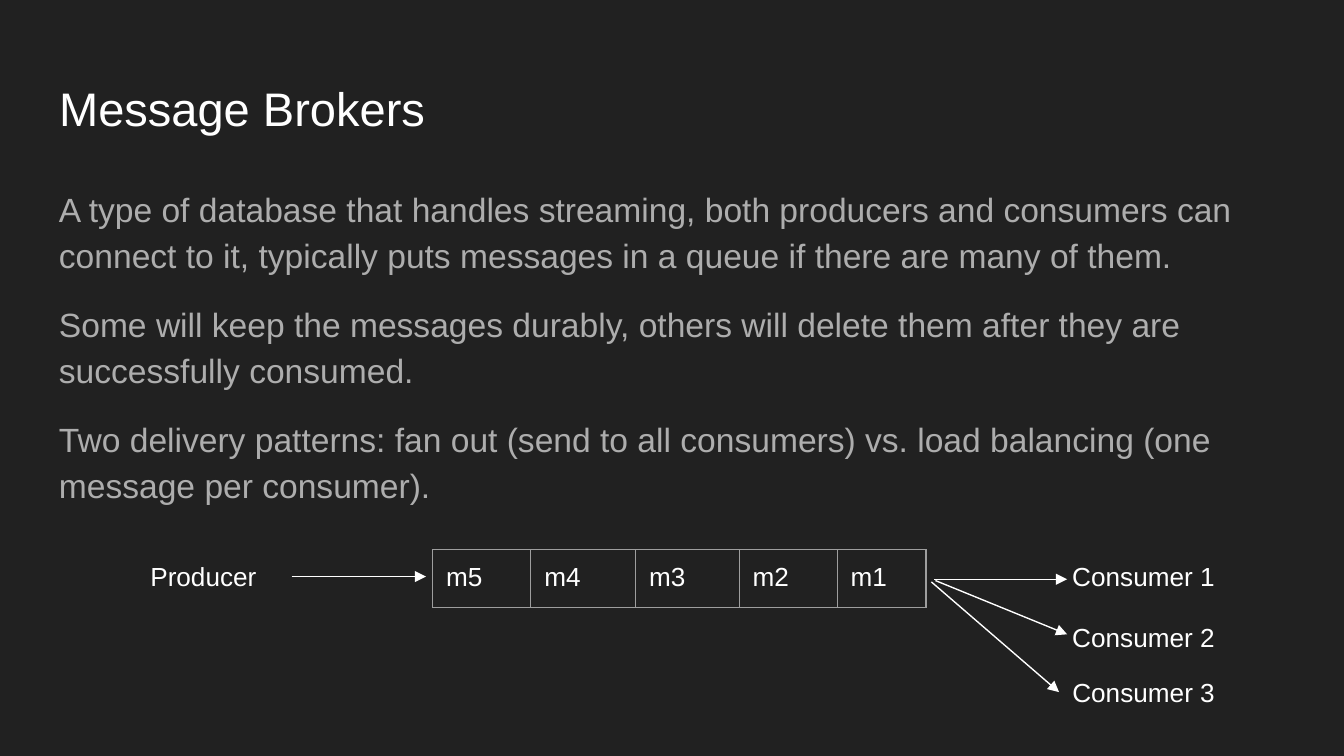
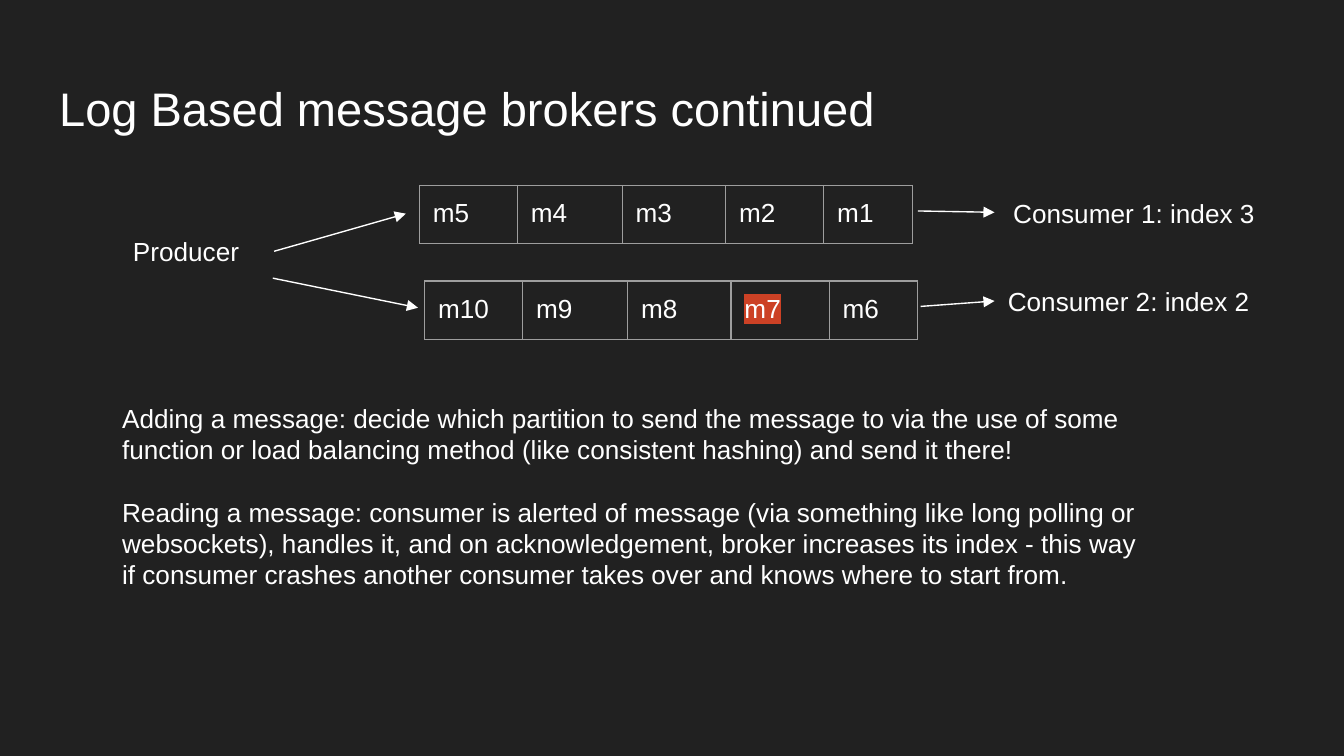
from dataclasses import dataclass

import lxml.etree
import pptx
import pptx.dml.color
import pptx.enum.shapes
import pptx.enum.text
import pptx.oxml.ns
import pptx.presentation
import pptx.shapes.autoshape
import pptx.slide
import pptx.table
import pptx.text.text
import pptx.util

EMU_PER_PX = 9144  # 100 px to the inch
SLIDE_WIDTH = 1000
TITLE_ONLY_LAYOUT = 5
LEFT_SIDE, RIGHT_SIDE = 1, 3
INSET = 10
COLUMN_WIDTHS = (73, 78, 77, 73, 66)
ROW_HEIGHT = 43
LABEL_HEIGHT = 44
FIXED = pptx.enum.text.MSO_AUTO_SIZE.NONE
GROWING = pptx.enum.text.MSO_AUTO_SIZE.SHAPE_TO_FIT_TEXT


@dataclass(frozen=True)
class Theme:
    font: str = "Arial"
    background: str = "212121"
    text: str = "FFFFFF"
    muted: str = "ADADAD"
    border: str = "9E9E9E"
    highlight: str = "CC4125"
    title_size: float = 25.2
    body_size: float = 18
    label_size: float = 14
    line_width: float = 0.75


@dataclass(frozen=True)
class Area:
    left: int
    top: int
    width: int
    height: int


@dataclass(frozen=True)
class Label:
    text: str
    left: int
    top: int
    width: int


@dataclass(frozen=True)
class Queue:
    left: int
    top: int
    messages: tuple[str, ...]
    highlighted: str = ""


@dataclass(frozen=True)
class Arrow:
    """An arrow whose ends join the labels named by source and target, if any."""
    start: tuple[int, int]
    end: tuple[int, int]
    source: str = ""
    target: str = ""


@dataclass(frozen=True)
class Prose:
    area: Area
    paragraphs: tuple[str, ...]
    size: float
    color: str
    gap: float = 0
    line_spacing: float = 1.0
    auto_size: pptx.enum.text.MSO_AUTO_SIZE = GROWING


@dataclass(frozen=True)
class Page:
    title: str
    prose: Prose
    queues: tuple[Queue, ...]
    labels: tuple[Label, ...]
    arrows: tuple[Arrow, ...]


THEME = Theme()
TITLE_AREA = Area(34, 49, 932, 63)

PAGES = (
    Page(
        title="Message Brokers",
        prose=Prose(
            Area(34, 126, 932, 374),
            (
                "A type of database that handles streaming, both producers and consumers can "
                "connect to it, typically puts messages in a queue if there are many of them.",
                "Some will keep the messages durably, others will delete them after they are "
                "successfully consumed.",
                "Two delivery patterns: fan out (send to all consumers) vs. load balancing (one "
                "message per consumer).",
            ),
            THEME.body_size, THEME.muted, gap=12, line_spacing=1.15, auto_size=FIXED,
        ),
        queues=(Queue(322, 409, ("m5", "m4", "m3", "m2", "m1")),),
        labels=(
            Label("Producer", 102, 407, 115),
            Label("Consumer 1", 788, 407, 127),
            Label("Consumer 2", 788, 452, 127),
            Label("Consumer 3", 788, 493, 131),
        ),
        arrows=(
            Arrow((218, 429), (317, 429), source="Producer"),
            Arrow((695, 431), (794, 431)),
            Arrow((696, 432), (794, 472)),
            Arrow((693, 433), (788, 515), target="Consumer 3"),
        ),
    ),
    Page(
        title="Log Based message brokers continued",
        prose=Prose(
            Area(81, 289, 779, 162),
            (
                "Adding a message: decide which partition to send the message to via the use of "
                "some function or load balancing method (like consistent hashing) and send it "
                "there!",
                "Reading a message: consumer is alerted of message (via something like long "
                "polling or websockets), handles it, and on acknowledgement, broker increases "
                "its index - this way if consumer crashes another consumer takes over and knows "
                "where to start from.",
            ),
            THEME.label_size, THEME.text, gap=16.8,
        ),
        queues=(
            Queue(312, 138, ("m5", "m4", "m3", "m2", "m1")),
            Queue(316, 209, ("m10", "m9", "m8", "m7", "m6"), highlighted="m7"),
        ),
        labels=(
            Label("Producer", 89, 165, 115),
            Label("Consumer 1: index 3", 744, 137, 216),
            Label("Consumer 2: index 2", 740, 202, 219),
        ),
        arrows=(
            Arrow((204, 187), (302, 159), source="Producer"),
            Arrow((203, 207), (311, 229)),
            Arrow((683, 157), (740, 158)),
            Arrow((685, 228), (740, 224), target="Consumer 2: index 2"),
        ),
    ),
)


def px(length: int) -> pptx.util.Emu:
    return pptx.util.Emu(length * EMU_PER_PX)


def rgb(color: str) -> pptx.dml.color.RGBColor:
    return pptx.dml.color.RGBColor.from_string(color)


def add_element(parent: lxml.etree.ElementBase, tag: str, **attributes: str) -> lxml.etree.ElementBase:
    return lxml.etree.SubElement(parent, pptx.oxml.ns.qn(tag), attributes)


def format_paragraph(para: pptx.text.text._Paragraph, size: float, color: str) -> None:
    para.alignment = pptx.enum.text.PP_ALIGN.LEFT
    para.font.name = THEME.font
    para.font.size = pptx.util.Pt(size)
    para.font.color.rgb = rgb(color)


def format_frame(frame: pptx.text.text.TextFrame, auto_size: pptx.enum.text.MSO_AUTO_SIZE) -> None:
    frame.word_wrap = True
    frame.auto_size = auto_size
    frame.vertical_anchor = pptx.enum.text.MSO_ANCHOR.TOP
    frame.margin_left = frame.margin_right = px(INSET)
    frame.margin_top = frame.margin_bottom = px(INSET)


def draw_title(slide: pptx.slide.Slide, text: str) -> None:
    title = slide.shapes.title
    title.left, title.top = px(TITLE_AREA.left), px(TITLE_AREA.top)
    title.width, title.height = px(TITLE_AREA.width), px(TITLE_AREA.height)
    title.text_frame.text = text
    format_frame(title.text_frame, FIXED)
    format_paragraph(title.text_frame.paragraphs[0], THEME.title_size, THEME.text)


def draw_prose(slide: pptx.slide.Slide, prose: Prose) -> pptx.shapes.autoshape.Shape:
    area = prose.area
    box = slide.shapes.add_textbox(px(area.left), px(area.top), px(area.width), px(area.height))
    box.text_frame.text = "\n".join(prose.paragraphs)
    format_frame(box.text_frame, prose.auto_size)
    for index, para in enumerate(box.text_frame.paragraphs):
        format_paragraph(para, prose.size, prose.color)
        para.line_spacing = prose.line_spacing
        para.space_before = pptx.util.Pt(prose.gap if index else 0)
    return box


def draw_label(slide: pptx.slide.Slide, label: Label) -> pptx.shapes.autoshape.Shape:
    area = Area(label.left, label.top, label.width, LABEL_HEIGHT)
    return draw_prose(slide, Prose(area, (label.text,), THEME.label_size, THEME.text))


def draw_borders(cell: pptx.table._Cell) -> None:
    properties = cell._tc.get_or_add_tcPr()
    width = str(pptx.util.Pt(THEME.line_width))
    for position, side in enumerate(("a:lnL", "a:lnR", "a:lnT", "a:lnB")):
        line = add_element(properties, side, w=width)
        add_element(add_element(line, "a:solidFill"), "a:srgbClr", val=THEME.border)
        properties.insert(position, line)  # borders precede the fill


def draw_queue(slide: pptx.slide.Slide, queue: Queue) -> None:
    frame = slide.shapes.add_table(
        1, len(queue.messages), px(queue.left), px(queue.top),
        px(sum(COLUMN_WIDTHS)), px(ROW_HEIGHT),
    )
    table = frame.table
    table.first_row = table.horz_banding = False
    properties = table._tbl.tblPr
    for style in list(properties):
        properties.remove(style)
    for index, (message, width) in enumerate(zip(queue.messages, COLUMN_WIDTHS)):
        table.columns[index].width = px(width)
        cell = table.cell(0, index)
        cell.text = message
        cell.margin_left = cell.margin_right = px(INSET)
        cell.margin_top = cell.margin_bottom = px(INSET)
        cell.fill.background()
        draw_borders(cell)
        para = cell.text_frame.paragraphs[0]
        format_paragraph(para, THEME.label_size, THEME.text)
        if message == queue.highlighted:
            mark = add_element(para.runs[0]._r.get_or_add_rPr(), "a:highlight")
            add_element(mark, "a:srgbClr", val=THEME.highlight)


def draw_arrow(
    slide: pptx.slide.Slide, arrow: Arrow, boxes: dict[str, pptx.shapes.autoshape.Shape]
) -> None:
    connector = slide.shapes.add_connector(
        pptx.enum.shapes.MSO_CONNECTOR.STRAIGHT, *map(px, arrow.start + arrow.end)
    )
    if arrow.source:
        connector.begin_connect(boxes[arrow.source], RIGHT_SIDE)
    if arrow.target:
        connector.end_connect(boxes[arrow.target], LEFT_SIDE)
    connector.line.color.rgb = rgb(THEME.text)
    connector.line.width = pptx.util.Pt(THEME.line_width)
    add_element(connector.line._get_or_add_ln(), "a:tailEnd", type="triangle")
    add_element(connector._element.spPr, "a:effectLst")


def draw_page(deck: pptx.presentation.Presentation, page: Page) -> None:
    slide = deck.slides.add_slide(deck.slide_layouts[TITLE_ONLY_LAYOUT])
    draw_title(slide, page.title)
    draw_prose(slide, page.prose)
    for queue in page.queues:
        draw_queue(slide, queue)
    boxes = {label.text: draw_label(slide, label) for label in page.labels}
    for arrow in page.arrows:
        draw_arrow(slide, arrow, boxes)


def main() -> None:
    deck = pptx.Presentation()
    deck.slide_width = px(SLIDE_WIDTH)
    deck.slide_height = pptx.util.Emu(deck.slide_width * 9 // 16)
    background = deck.slide_master.background.fill
    background.solid()
    background.fore_color.rgb = rgb(THEME.background)
    for page in PAGES:
        draw_page(deck, page)
    deck.save("out.pptx")


if __name__ == "__main__":
    main()
